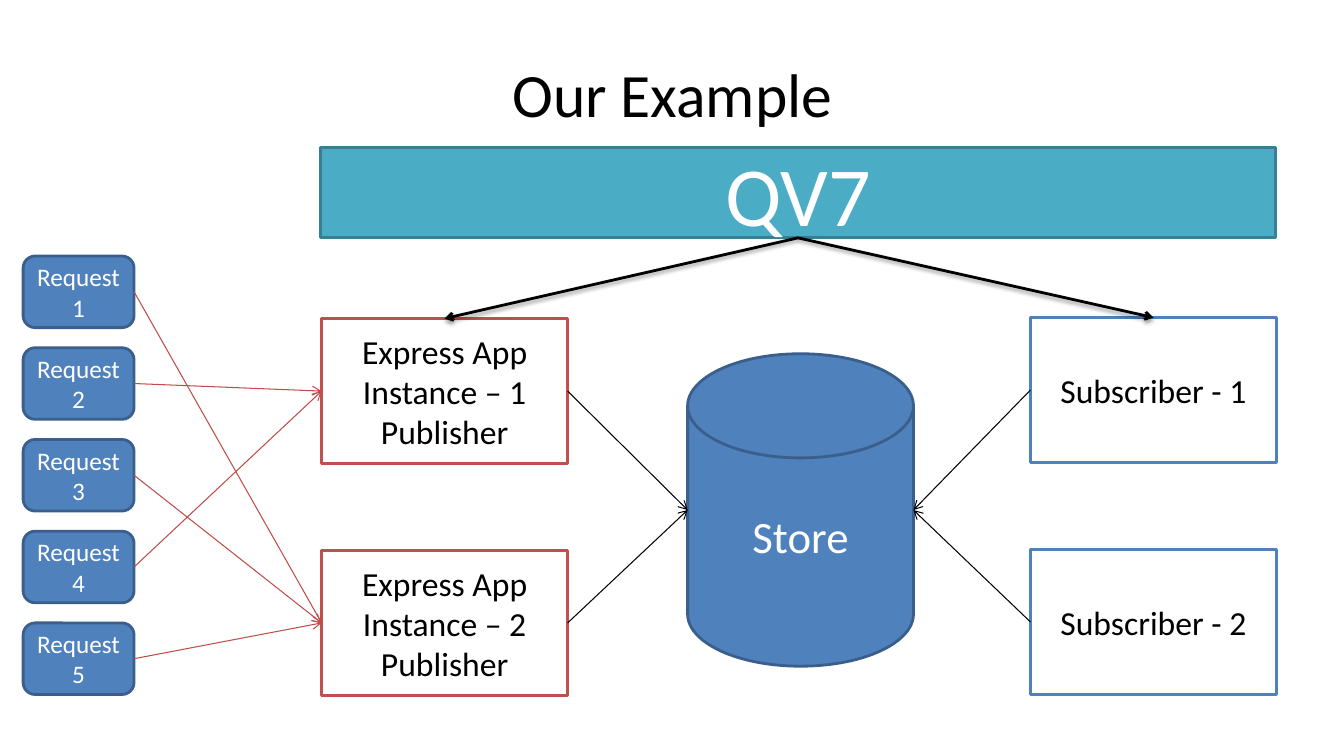
from dataclasses import dataclass

from lxml.etree import SubElement
from pptx import Presentation
from pptx.dml.color import RGBColor
from pptx.enum.shapes import MSO_CONNECTOR as CXN, MSO_SHAPE as SHAPE
from pptx.enum.text import MSO_ANCHOR as ANCHOR, PP_ALIGN as ALIGN
from pptx.oxml.ns import qn
from pptx.util import Inches, Pt


@dataclass(frozen=True)
class Theme:
    font: str = "Calibri"
    black: str = "000000"
    white: str = "FFFFFF"
    blue: str = "4F81BD"
    navy: str = "3A5F8C"
    red: str = "C0504D"
    request_line: str = "BF4C48"
    teal: str = "4BACC6"
    dark_teal: str = "377F92"
    title: int = 44
    manager: int = 60
    store: int = 32
    box: int = 24
    request: int = 18
    outline: float = 2
    thin: float = 0.75


T = Theme()
TOP, LEFT, BOTTOM, RIGHT = range(4)


def rgb(value):
    return RGBColor.from_string(value)


def write(s, text, size=T.box, color=T.black):
    tf = s.text_frame
    tf.word_wrap = True
    tf.vertical_anchor = ANCHOR.MIDDLE
    tf.text = text
    for p in tf.paragraphs:
        p.alignment = ALIGN.CENTER
        for r in p.runs:
            r.font.name = T.font
            r.font.size = Pt(size)
            r.font.color.rgb = rgb(color)


def place(s, x, y, w, h):
    s.left, s.top, s.width, s.height = (Inches(v) for v in (x, y, w, h))


def add_block(slide, kind, bounds, text, fill, line, **text_format):
    s = slide.shapes.add_shape(kind, *(Inches(v) for v in bounds))
    s.shadow.inherit = False
    s.fill.solid()
    s.fill.fore_color.rgb = rgb(fill)
    s.line.color.rgb = rgb(line)
    s.line.width = Pt(T.outline)
    write(s, text, **text_format)
    return s


def site(s, side):
    mid_x, mid_y = s.left + s.width // 2, s.top + s.height // 2
    return {
        TOP: (mid_x, s.top),
        LEFT: (s.left, mid_y),
        BOTTOM: (mid_x, s.top + s.height),
        RIGHT: (s.left + s.width, mid_y),
    }[side]


def add_arrow(slide, start, start_side, end, end_side,
              color=T.black, width=T.thin, shadow=False):
    c = slide.shapes.add_connector(
        CXN.STRAIGHT, *site(start, start_side), *site(end, end_side))
    c.begin_connect(start, start_side)
    if end.auto_shape_type == SHAPE.RECTANGLE:
        c.end_connect(end, end_side)
    c.line.color.rgb = rgb(color)
    c.line.width = Pt(width)
    pr = c._element.spPr
    SubElement(pr.find(qn("a:ln")), qn("a:tailEnd"), type="arrow")
    effects = SubElement(pr, qn("a:effectLst"))
    if shadow:
        outer = SubElement(effects, qn("a:outerShdw"), blurRad=str(Pt(3.1)),
                           dist=str(Pt(1.6)), dir="5400000", rotWithShape="0")
        shade = SubElement(outer, qn("a:srgbClr"), val=T.black)
        SubElement(shade, qn("a:alpha"), val="38000")


def add_pair(slide, x, y, text, line):
    return [add_block(slide, SHAPE.RECTANGLE, (x, y + 2.3 * i, 2.44, 1.44),
                      text.format(i + 1), T.white, line) for i in range(2)]


def add_request(slide, i):
    return add_block(slide, SHAPE.ROUNDED_RECTANGLE,
                     (0.23, 2.54 + 0.91 * i, 1.1, 0.71),
                     f"Request\v{i + 1}", T.blue, T.navy,
                     size=T.request, color=T.white)


def main():
    prs = Presentation()
    prs.slide_width, prs.slide_height = Inches(13.33), Inches(7.5)
    slide = prs.slides.add_slide(prs.slide_layouts[5])
    title = slide.shapes.title
    place(title, 0.67, 0.3, 12, 1.25)
    write(title, "Our Example", size=T.title)

    publishers = add_pair(
        slide, 3.19, 3.16, "Express App\nInstance – {}\nPublisher", T.red)
    subscribers = add_pair(slide, 10.22, 3.15, "Subscriber - {}", T.blue)
    requests = [add_request(slide, i) for i in range(5)]
    for request, target in zip(requests, (1, 0, 1, 0, 1)):
        add_arrow(slide, request, RIGHT, publishers[target], LEFT,
                  color=T.request_line)

    store = add_block(slide, SHAPE.FLOWCHART_MAGNETIC_DISK,
                      (6.82, 3.51, 2.24, 3.1), "Store", T.blue, T.navy,
                      size=T.store, color=T.white)
    for publisher in publishers:
        add_arrow(slide, publisher, RIGHT, store, LEFT)
    for subscriber in subscribers:
        add_arrow(slide, subscriber, LEFT, store, RIGHT)

    manager = add_block(slide, SHAPE.RECTANGLE, (3.18, 1.46, 9.47, 0.9),
                        "QV7", T.teal, T.dark_teal,
                        size=T.manager, color=T.white)
    for group in (publishers, subscribers):
        add_arrow(slide, manager, BOTTOM, group[0], TOP,
                  width=T.outline, shadow=True)

    prs.save("out.pptx")


main()
